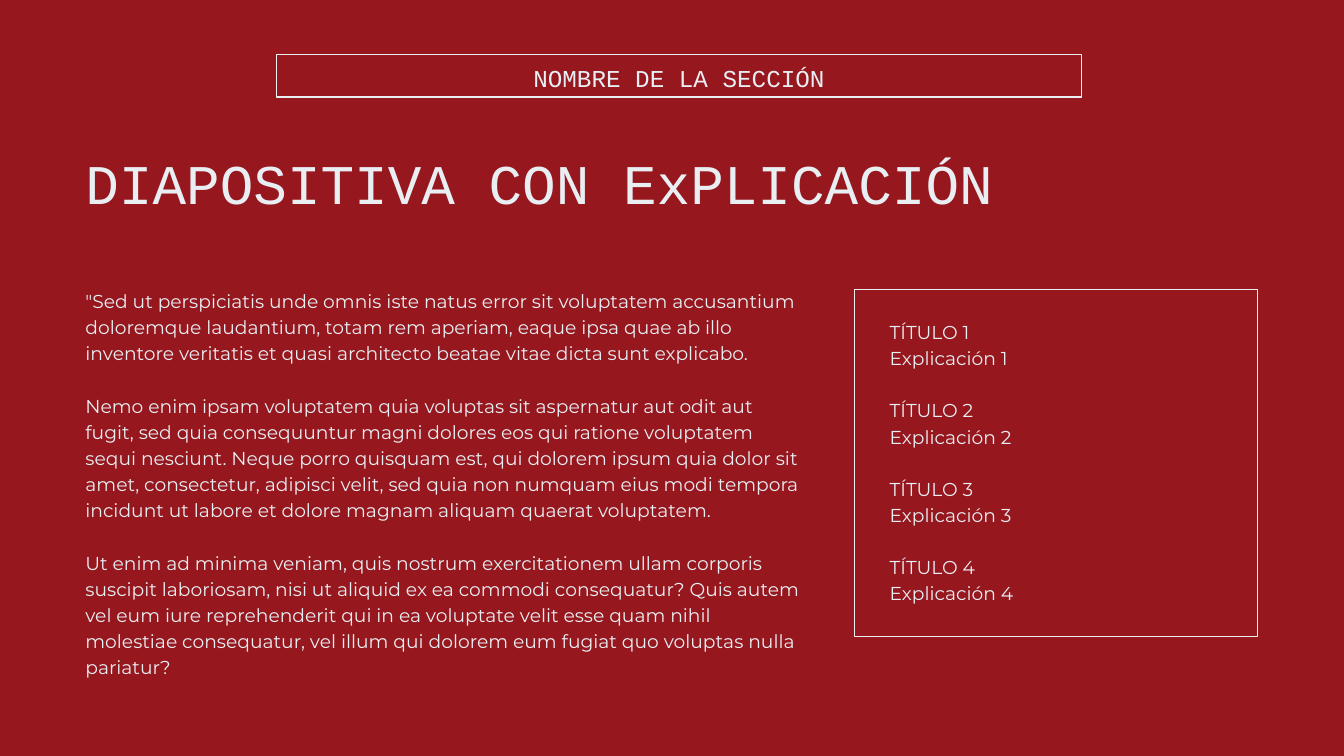
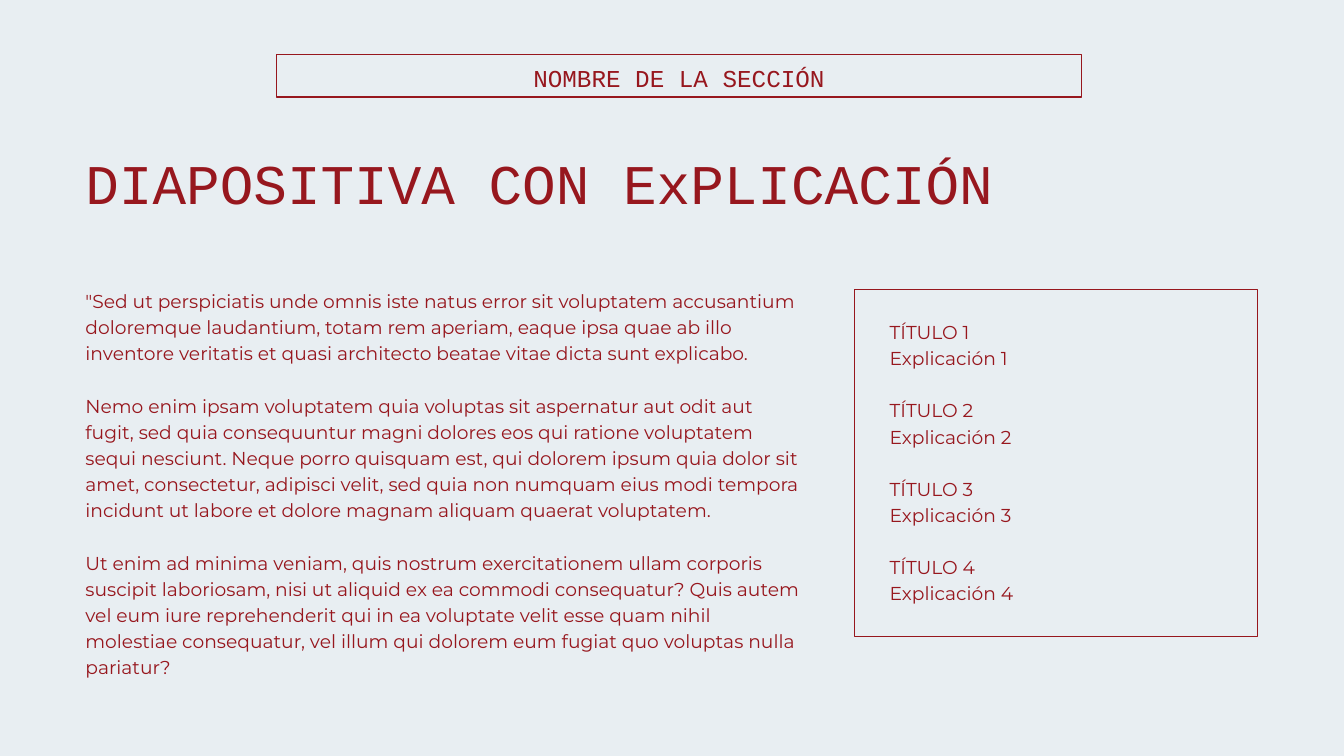
from pptx import Presentation
from pptx.dml.color import RGBColor
from pptx.enum.shapes import MSO_SHAPE
from pptx.enum.text import MSO_AUTO_SIZE, PP_ALIGN
from pptx.util import Pt

RECTANGLE = MSO_SHAPE.RECTANGLE
GROW = MSO_AUTO_SIZE.SHAPE_TO_FIT_TEXT
LEFT, CENTER = PP_ALIGN.LEFT, PP_ALIGN.CENTER

COLORS = {"red": "97171E", "ice": "E8EEF2"}
MONO, SANS = "Courier New", "Montserrat"
LEADING = 1.4  # line spacing as a multiple of the font size
FRAME_WIDTH = 1.2
MARGIN = 91.5

SECTION = "NOMBRE DE LA SECCIÓN"
TITLE = "DIAPOSITIVA CON ExPLICACIÓN"
BODY = [
    '"Sed ut perspiciatis unde omnis iste natus error sit voluptatem accusantium '
    "doloremque laudantium, totam rem aperiam, eaque ipsa quae ab illo inventore "
    "veritatis et quasi architecto beatae vitae dicta sunt explicabo.",
    "Nemo enim ipsam voluptatem quia voluptas sit aspernatur aut odit aut fugit, "
    "sed quia consequuntur magni dolores eos qui ratione voluptatem sequi nesciunt. "
    "Neque porro quisquam est, qui dolorem ipsum quia dolor sit amet, consectetur, "
    "adipisci velit, sed quia non numquam eius modi tempora incidunt ut labore et "
    "dolore magnam aliquam quaerat voluptatem.",
    "Ut enim ad minima veniam, quis nostrum exercitationem ullam corporis suscipit "
    "laboriosam, nisi ut aliquid ex ea commodi consequatur? Quis autem vel eum iure "
    "reprehenderit qui in ea voluptate velit esse quam nihil molestiae consequatur, "
    "vel illum qui dolorem eum fugiat quo voluptas nulla pariatur?",
]
KEY_POINTS = [[f"TÍTULO {n}", f"Explicación {n}"] for n in range(1, 5)]


class Deck:
    def __init__(self):
        self.prs = Presentation()
        self.prs.slide_width, self.prs.slide_height = Pt(1440), Pt(810)

    def slide(self, background, ink):
        self.s = self.prs.slides.add_slide(self.prs.slide_layouts[6])
        self.ink = RGBColor.from_string(COLORS[ink])
        fill = self.s.background.fill
        fill.solid()
        fill.fore_color.rgb = RGBColor.from_string(COLORS[background])

    def frame(self, x, y, w, h):
        sp = self.s.shapes.add_shape(RECTANGLE, Pt(x), Pt(y), Pt(w), Pt(h))
        sp.shadow.inherit = False
        sp.fill.background()
        sp.line.color.rgb = self.ink
        sp.line.width = Pt(FRAME_WIDTH)

    def text(self, x, y, w, h, groups, size, font, align=LEFT):
        """Write groups of lines, one paragraph a line, with a line's gap between groups."""
        sp = self.s.shapes.add_textbox(Pt(x), Pt(y), Pt(w), Pt(h))
        tf = sp.text_frame
        tf.word_wrap = True
        tf.auto_size = GROW
        tf.margin_left = tf.margin_top = tf.margin_right = tf.margin_bottom = 0
        tf.text = "\n".join(line for group in groups for line in group)
        leading = Pt(size * LEADING)
        for p in tf.paragraphs:
            p.alignment = align
            p.line_spacing = leading
            for r in p.runs:
                r.font.size = Pt(size)
                r.font.name = font
                r.font.color.rgb = self.ink
        start = 0
        for group in groups[:-1]:
            start += len(group)
            tf.paragraphs[start].space_before = leading


def explanation_slide(deck, background, ink):
    deck.slide(background, ink)
    deck.text(MARGIN, 147, 1257, 82, [[TITLE]], 60, MONO)
    deck.text(MARGIN, 306.7, 766, 415.4, [[p] for p in BODY], 20, SANS)
    deck.frame(296.5, 58, 862, 46)
    deck.text(437.8, 62.6, 579.6, 33.8, [[SECTION]], 26, MONO, CENTER)
    deck.frame(915.8, 310.3, 432, 371.6)
    deck.text(953.3, 339.8, 380, 304, KEY_POINTS, 20, SANS)


def main():
    deck = Deck()
    explanation_slide(deck, "red", "ice")
    explanation_slide(deck, "ice", "red")
    deck.prs.save("out.pptx")


if __name__ == "__main__":
    main()
